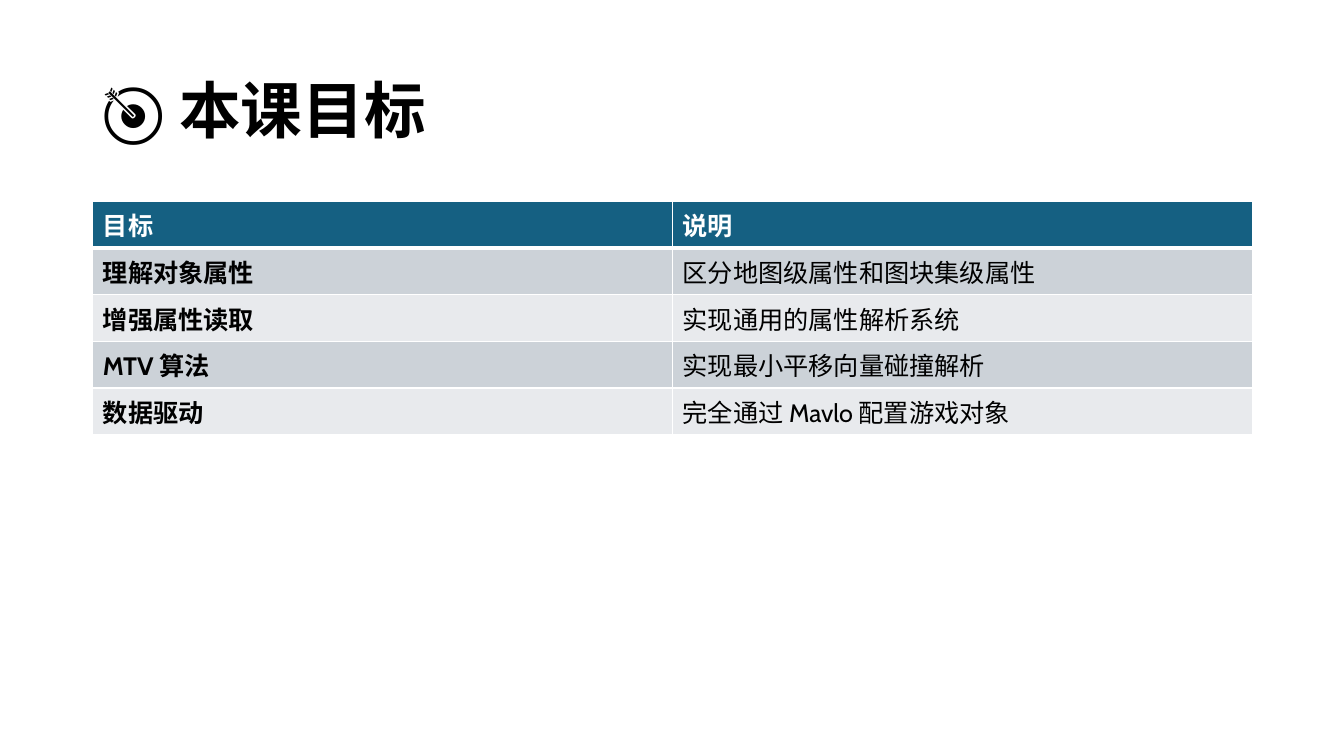
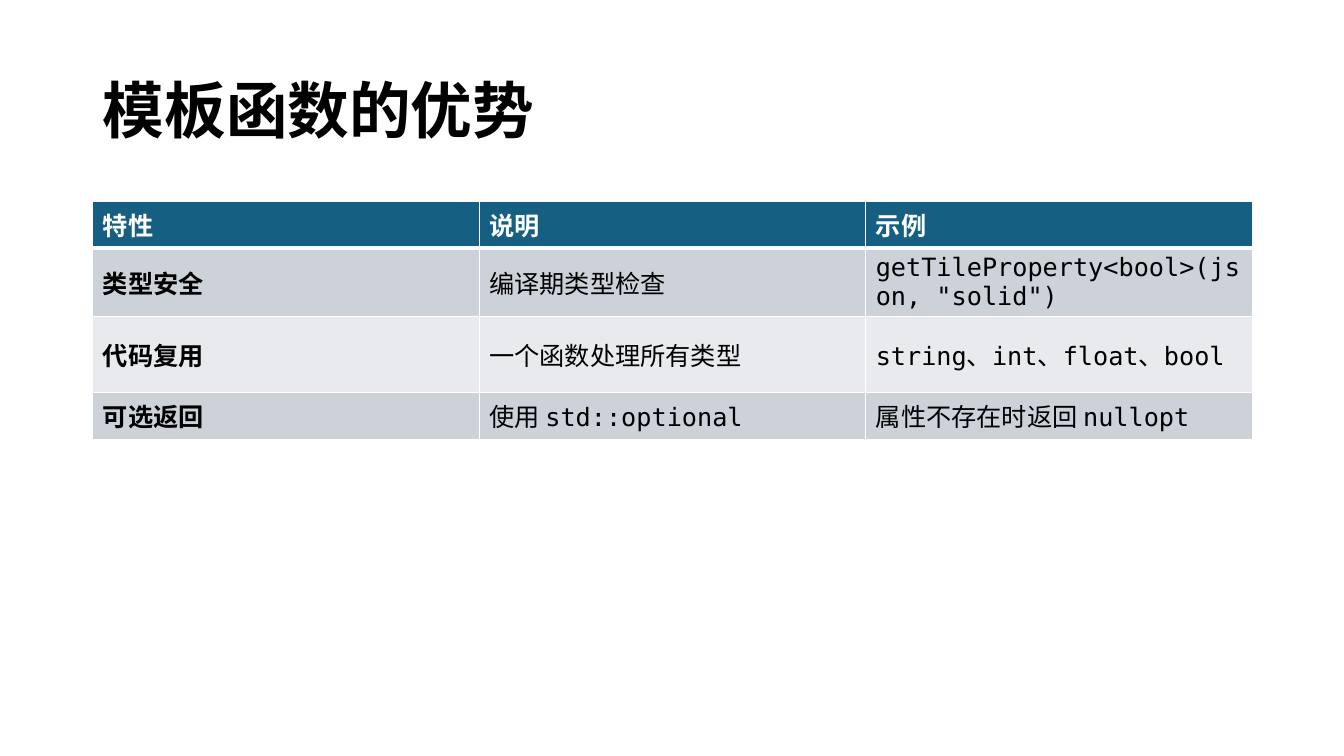
import pptx
import pptx.util
import pptx.dml.color
import pptx.enum.text
from lxml import etree
from pptx.util import Inches

COLORS = {
    "header": "156082",
    "odd": "CCD2D8",
    "even": "E8EAED",
    "white": "FFFFFF",
    "black": "000000",
}
FONT, CODE_FONT = "Cabin", "DejaVu Sans Mono"
LEFT, WIDTH, ROW_HEIGHT = 0.92, 11.5, 0.41
MIDDLE = pptx.enum.text.MSO_ANCHOR.MIDDLE
A = "http://schemas.openxmlformats.org/drawingml/2006/main"

# Text between backticks is set in the code font.
SLIDES = [
    ("🎯 本课目标", [
        ["目标", "说明"],
        ["理解对象属性", "区分地图级属性和图块集级属性"],
        ["增强属性读取", "实现通用的属性解析系统"],
        ["MTV 算法", "实现最小平移向量碰撞解析"],
        ["数据驱动", "完全通过 Mavlo 配置游戏对象"],
    ]),
    ("模板函数的优势", [
        ["特性", "说明", "示例"],
        ["类型安全", "编译期类型检查", '`getTileProperty<bool>(json, "solid")`'],
        ["代码复用", "一个函数处理所有类型", "`string`、`int`、`float`、`bool`"],
        ["可选返回", "使用 `std::optional`", "属性不存在时返回 `nullopt`"],
    ]),
]


def style_font(font, size, color, bold):
    font.name = FONT
    font.size = pptx.util.Pt(size)
    font.bold = bold
    font.color.rgb = pptx.dml.color.RGBColor.from_string(COLORS[color])


def set_borders(cell, top, bottom):
    """Draw white cell borders; top and bottom are widths in points."""
    tc_pr = cell._tc.get_or_add_tcPr()
    sides = [("lnL", 1), ("lnR", 1), ("lnT", top), ("lnB", bottom)]
    for i, (side, width) in enumerate(sides):
        ln = etree.Element(f"{{{A}}}{side}", w=str(pptx.util.Pt(width)))
        fill = etree.SubElement(ln, f"{{{A}}}solidFill")
        etree.SubElement(fill, f"{{{A}}}srgbClr", val=COLORS["white"])
        tc_pr.insert(i, ln)


prs = pptx.Presentation()
prs.slide_width, prs.slide_height = Inches(13.33), Inches(7.5)

for title, rows in SLIDES:
    s = prs.slides.add_slide(prs.slide_layouts[5])
    sp = s.shapes.title
    sp.left, sp.top = Inches(LEFT), Inches(0.4)
    sp.width, sp.height = Inches(WIDTH), Inches(1.45)
    tf = sp.text_frame
    tf.text = title
    tf.word_wrap = True
    tf.vertical_anchor = MIDDLE
    p = tf.paragraphs[0]
    p.alignment = pptx.enum.text.PP_ALIGN.LEFT
    p.line_spacing = 0.9
    style_font(p.font, 44, "black", True)

    table = s.shapes.add_table(
        len(rows), len(rows[0]), Inches(LEFT), Inches(2),
        Inches(WIDTH), Inches(ROW_HEIGHT * len(rows))).table
    for i, row in enumerate(rows):
        header = i == 0
        band = "header" if header else "odd" if i % 2 else "even"
        for j, text in enumerate(row):
            cell = table.cell(i, j)
            cell.vertical_anchor = MIDDLE
            cell.fill.solid()
            cell.fill.fore_color.rgb = pptx.dml.color.RGBColor.from_string(COLORS[band])
            set_borders(cell, 3 if i == 1 else 1, 3 if header else 1)
            p = cell.text_frame.paragraphs[0]
            style_font(p.font, 18, "white" if header else "black", header or j == 0)
            for k, part in enumerate(text.split("`")):
                if part:
                    r = p.add_run()
                    r.text = part
                    if k % 2:
                        r.font.name = CODE_FONT

prs.save("out.pptx")
